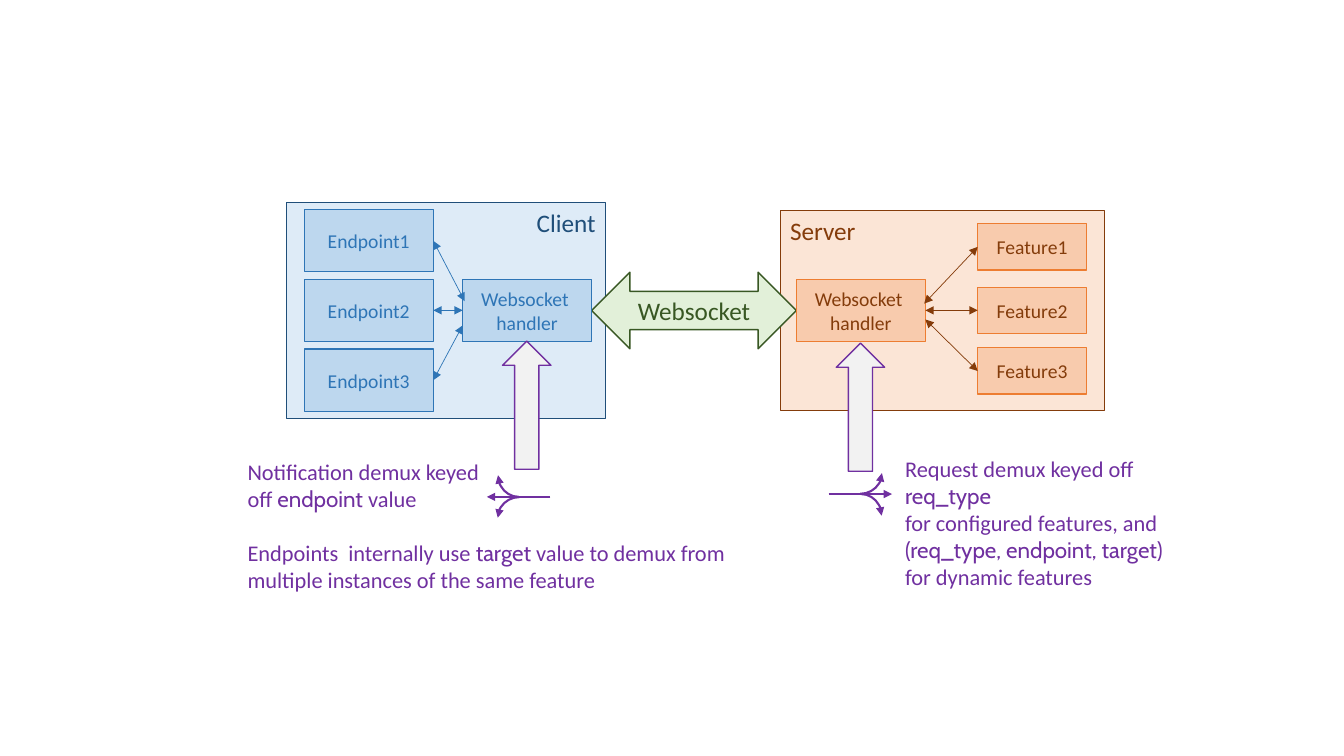
from lxml.etree import SubElement
from pptx import Presentation
from pptx.dml.color import RGBColor
from pptx.enum.shapes import MSO_CONNECTOR as Link, MSO_SHAPE as Form
from pptx.enum.text import MSO_ANCHOR as Anchor, PP_ALIGN as Align
from pptx.oxml.ns import qn
from pptx.util import Cm, Pt

hue = RGBColor.from_string
NAVY, BLUE, SKY, ICE = "1F4E79", "2E75B6", "BDD7EE", "DEEBF7"
BROWN, AMBER, PEACH, CREAM = "843C0B", "ED7D31", "F8CBAD", "FBE5D6"
GREEN, MINT, PLUM, GREY = "385723", "E2F0D9", "7030A0", "F2F2F2"


def paint(item, ink, width, fill=None, ends=()):
    item.line.color.rgb = hue(ink)
    item.line.width = Pt(width)
    if fill:
        item.fill.solid()
        item.fill.fore_color.rgb = hue(fill)
    edge = item.get_or_add_ln()
    for end in ends:
        SubElement(edge, qn("a:" + end), type="triangle")
    SubElement(item.element.spPr, qn("a:effectLst"))


def write(item, lines, size, ink, align=Align.CENTER, anchor=Anchor.MIDDLE):
    frame = item.text_frame
    for name, value in {"word_wrap": True, "vertical_anchor": anchor}.items():
        setattr(frame, name, value)
    for row, line in enumerate(lines):
        para = frame.add_paragraph() if row else frame.paragraphs[0]
        para.alignment = align
        for part, words in enumerate(line.split("|")):
            if words:
                run = para.add_run()
                run.text = words
                look = {"name": ("Calibri", "Cabin")[part % 2], "size": Pt(size)}
                for name, value in look.items():
                    setattr(run.font, name, value)
                run.font.color.rgb = hue(ink)


deck = Presentation()
deck.slide_width, deck.slide_height = Cm(33.87), Cm(19.05)
shapes = deck.slides.add_slide(deck.slide_layouts[6]).shapes

panels = [
    ("Client", (7.21, 5.11, 8.05, 5.44), ICE, NAVY, Align.RIGHT),
    ("Server", (19.66, 5.31, 8.18, 5.03), CREAM, BROWN, Align.LEFT),
]
for label, place, fill, ink, align in panels:
    panel = shapes.add_shape(Form.RECTANGLE, *map(Cm, place))
    paint(panel, ink, 0.75, fill)
    write(panel, [label], 18, ink, align, Anchor.TOP)

socket = shapes.add_shape(Form.LEFT_RIGHT_ARROW, Cm(14.91), Cm(6.86), Cm(5.16), Cm(1.93))
paint(socket, GREEN, 1, MINT)
write(socket, ["Websocket"], 18, GREEN)

handler = ["Websocket ", "handler"]
blue = (SKY, BLUE, BLUE)
orange = (PEACH, AMBER, BROWN)
boxes = [
    (handler, (11.66, 7.04, 3.25, 1.57), blue),
    (handler, (20.07, 7.04, 3.25, 1.57), orange),
]
for row, top in enumerate((5.64, 7.24, 8.76)):
    boxes.append(([f"Endpoint{row + 1}"], (7.67, 5.28 + 1.76 * row, 3.25, 1.57), blue))
    boxes.append(([f"Feature{row + 1}"], (24.64, top, 2.74, 1.17), orange))
for lines, place, (fill, edge, ink) in boxes:
    box = shapes.add_shape(Form.RECTANGLE, *map(Cm, place))
    paint(box, edge, 1, fill)
    write(box, lines, 14, ink)

both, tail = ("headEnd", "tailEnd"), ("tailEnd",)
links = [
    ((24.64, 6.22, 23.29, 7.65), BROWN, 0.5, both),
    ((24.64, 7.82, 23.32, 7.82), BROWN, 0.5, both),
    ((24.64, 9.35, 23.32, 8.05), BROWN, 0.5, both),
    ((11.71, 7.59, 10.92, 6.07), BLUE, 0.5, both),
    ((11.66, 7.82, 10.92, 7.82), BLUE, 0.5, both),
    ((11.66, 8.2, 10.92, 9.58), BLUE, 0.5, both),
    ((20.88, 12.45, 22.48, 12.45), PLUM, 1.5, tail),
    ((13.87, 12.52, 12.27, 12.52), PLUM, 1.5, tail),
]
for ends, ink, width, heads in links:
    link = shapes.add_connector(Link.STRAIGHT, *map(Cm, ends))
    paint(link, ink, width, ends=heads)

for left, top in ((11.66, 9.6), (20.07, 9.65)):
    arrow = shapes.add_shape(Form.RIGHT_ARROW, Cm(left), Cm(top), Cm(3.23), Cm(1.22))
    arrow.rotation = 270
    paint(arrow, PLUM, 1, GREY)

arcs = [
    (21.16, 11.38, 90, "headEnd"),
    (21.18, 12.45, 0, "tailEnd"),
    (12.57, 12.5, 270, "headEnd"),
    (12.55, 11.43, 180, "tailEnd"),
]
for left, top, turn, end in arcs:
    arc = shapes.add_shape(Form.ARC, Cm(left), Cm(top), Cm(1.04), Cm(1.09))
    arc.rotation = turn
    arc.fill.background()
    paint(arc, PLUM, 1.5, ends=[end])

notes = [
    ((5.99, 11.43, 12.7, 3.68), [
        "Notification demux keyed",
        "off |endpoint| value",
        "Endpoints  internally use |target |value to demux from "
        "multiple instances of the same feature",
    ]),
    ((22.56, 11.35, 8.46, 3), [
        "Request demux keyed off |req_type",
        "for configured features, and",
        "|(req_type, endpoint, target)",
        "for dynamic features",
    ]),
]
for place, lines in notes:
    note = shapes.add_textbox(*map(Cm, place))
    write(note, lines, 16, PLUM, Align.LEFT, Anchor.TOP)
    if len(lines) == 3:
        note.text_frame.paragraphs[2].space_before = Pt(19.5)

deck.save("out.pptx")
